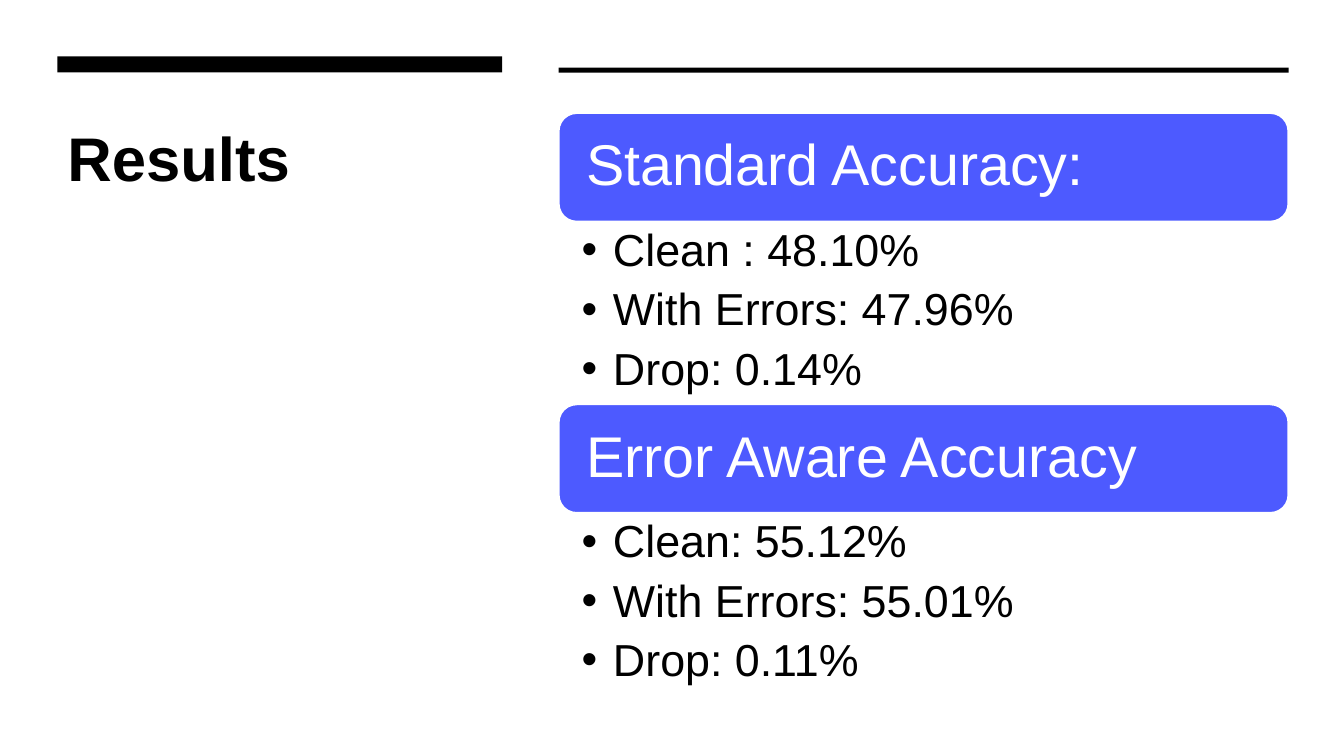
from dataclasses import dataclass

from lxml import etree
from pptx import Presentation
from pptx.dml.color import RGBColor
from pptx.enum import shapes, text
from pptx.oxml.ns import qn
from pptx.util import Inches, Pt

TITLE = "Results"
SECTIONS = [
    ("Standard Accuracy:", ["Clean : 48.10%", "With Errors: 47.96%", "Drop: 0.14%"]),
    ("Error Aware Accuracy", ["Clean: 55.12%", "With Errors: 55.01%", "Drop: 0.11%"]),
]


@dataclass(frozen=True)
class Theme:
    font: str = "Arial"
    ink: RGBColor = RGBColor(0x00, 0x00, 0x00)
    paper: RGBColor = RGBColor(0xFF, 0xFF, 0xFF)
    accent: RGBColor = RGBColor(0x4D, 0x5A, 0xFF)
    title: int = 44
    heading: int = 41
    body: int = 32


THEME = Theme()
LEFT_X, LEFT_W = 0.57, 4.41
RIGHT_X, RIGHT_W = 5.54, 7.24
RULE_BOTTOM = 0.72
SECTIONS_TOP, HEADING_H, LIST_H = 1.12, 1.08, 1.81
BULLET_INDENT = 0.31


def add_block(slide, kind, box, fill, line=None):
    sp = slide.shapes.add_shape(kind, *map(Inches, box))
    sp.shadow.inherit = False
    sp.fill.solid()
    sp.fill.fore_color.rgb = fill
    if line is None:
        sp.line.fill.background()
    else:
        sp.line.color.rgb = line
        sp.line.width = Pt(1.5)
    return sp


def set_frame(sp, insets, anchor=text.MSO_ANCHOR.TOP):
    """Insets run left, top, right, bottom, in inches."""
    tf = sp.text_frame
    tf.word_wrap = True
    tf.vertical_anchor = anchor
    tf.margin_left, tf.margin_top, tf.margin_right, tf.margin_bottom = map(Inches, insets)
    return tf


def write(p, words, size, color, bold=False):
    p.alignment = text.PP_ALIGN.LEFT
    r = p.add_run()
    r.text = words
    r.font.name = THEME.font
    r.font.size = Pt(size)
    r.font.bold = bold
    r.font.color.rgb = color


def add_bullet(p):
    pPr = p._p.get_or_add_pPr()
    pPr.set("marL", str(Inches(BULLET_INDENT)))
    pPr.set("indent", str(-Inches(BULLET_INDENT)))
    etree.SubElement(pPr, qn("a:buFont")).set("typeface", THEME.font)
    etree.SubElement(pPr, qn("a:buChar")).set("char", "•")


def add_section(slide, top, heading, items):
    sp = add_block(slide, shapes.MSO_SHAPE.ROUNDED_RECTANGLE,
                   (RIGHT_X, top, RIGHT_W, HEADING_H), THEME.accent, THEME.paper)
    tf = set_frame(sp, (0.22, 0.22, 0.22, 0.22), text.MSO_ANCHOR.MIDDLE)
    p = tf.paragraphs[0]
    p.line_spacing = 0.9
    write(p, heading, THEME.heading, THEME.paper)

    box = (RIGHT_X, top + HEADING_H, RIGHT_W, LIST_H)
    tf = set_frame(slide.shapes.add_textbox(*map(Inches, box)), (0.23, 0.06, 0.32, 0.06))
    for i, item in enumerate(items):
        p = tf.add_paragraph() if i else tf.paragraphs[0]
        p.level = 1
        add_bullet(p)
        p.line_spacing = 0.9
        p.space_after = Pt(7.8)
        write(p, item, THEME.body, THEME.ink)


def main():
    prs = Presentation()
    prs.slide_width, prs.slide_height = Inches(13.33), Inches(7.5)
    slide = prs.slides.add_slide(prs.slide_layouts[6])
    slide.background.fill.solid()
    slide.background.fill.fore_color.rgb = THEME.paper

    for x, width, height in ((LEFT_X, LEFT_W, 0.16), (RIGHT_X, RIGHT_W, 0.05)):
        add_block(slide, shapes.MSO_SHAPE.RECTANGLE,
                  (x, RULE_BOTTOM - height, width, height), THEME.ink)

    title = slide.shapes.add_textbox(*map(Inches, (LEFT_X, 1.07, LEFT_W, 3.68)))
    tf = set_frame(title, (0.1, 0.12, 0.1, 0.05))
    write(tf.paragraphs[0], TITLE, THEME.title, THEME.ink, bold=True)

    for i, (heading, items) in enumerate(SECTIONS):
        add_section(slide, SECTIONS_TOP + i * (HEADING_H + LIST_H), heading, items)

    prs.save("out.pptx")


if __name__ == "__main__":
    main()
